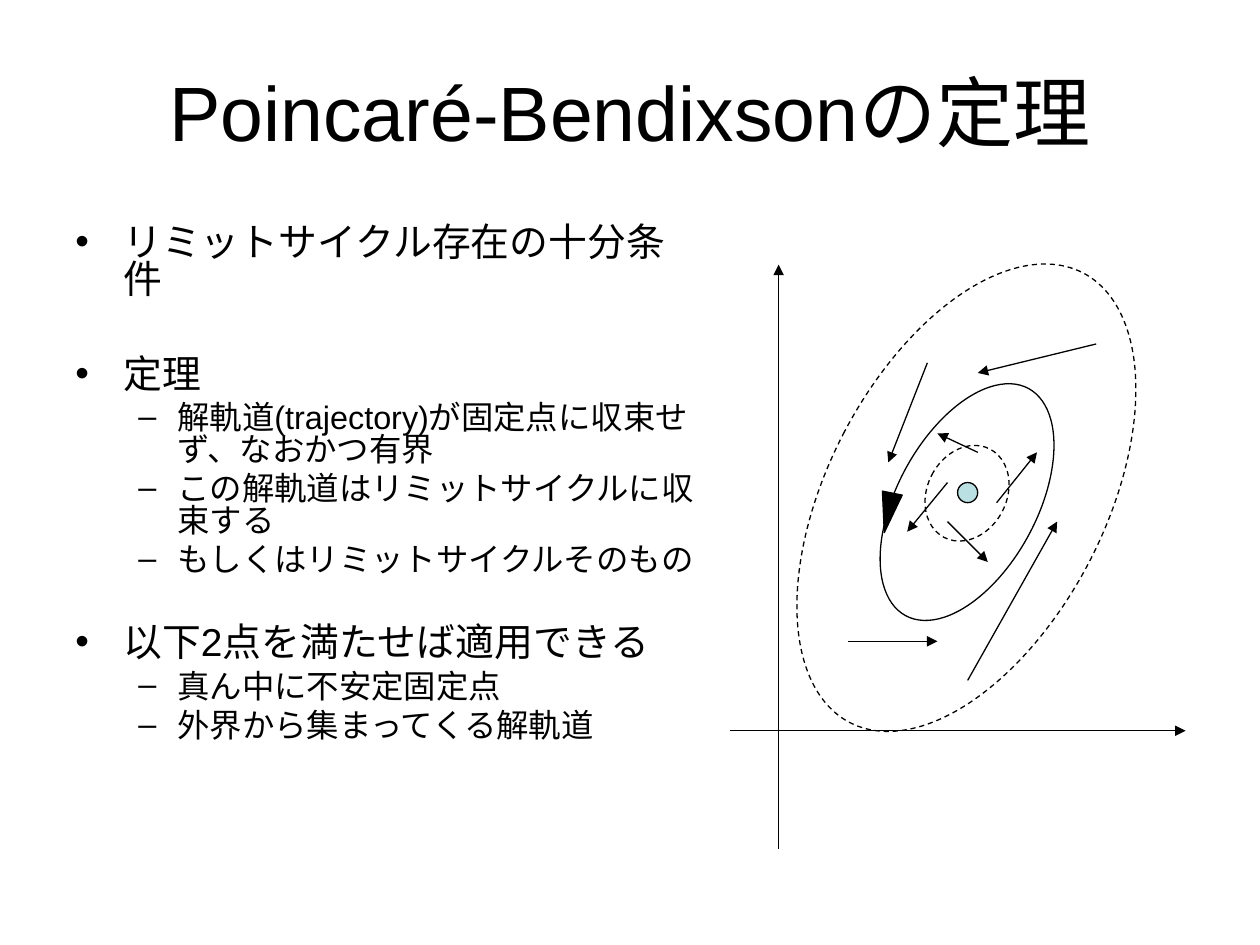
"""Build a slide on the Poincaré-Bendixson theorem with a phase portrait."""
from lxml.etree import SubElement
from pptx import Presentation
from pptx.dml.color import RGBColor
from pptx.enum.dml import MSO_LINE
from pptx.enum.shapes import MSO_CONNECTOR, MSO_SHAPE
from pptx.enum.text import MSO_ANCHOR, PP_ALIGN
from pptx.oxml.ns import qn
from pptx.util import Inches, Pt

BLACK = RGBColor(0x00, 0x00, 0x00)
PALE_BLUE = RGBColor(0xBB, 0xE0, 0xE3)

TITLE = "Poincaré-Bendixsonの定理"
SECTIONS = [
    ("リミットサイクル存在の十分条件", 0, []),
    ("定理", 33, [
        "解軌道(trajectory)が固定点に収束せず、なおかつ有界",
        "この解軌道はリミットサイクルに収束する",
        "もしくはリミットサイクルそのもの",
    ]),
    ("以下2点を満たせば適用できる", 28, [
        "真ん中に不安定固定点",
        "外界から集まってくる解軌道",
    ]),
]
LEVELS = [
    {"size": 22.2, "bullet": "•", "margin": 0.38, "indent": -0.38},
    {"size": 18.5, "bullet": "–", "margin": 0.81, "indent": -0.31},
]
SUB_SPACE = 5

AXES = [((6.18, 6.74), (6.18, 2.1)), ((5.79, 5.8), (9.41, 5.8))]
FLOWS = [
    ((7.36, 2.88), (7.05, 3.67)),
    ((7.68, 5.4), (8.39, 4.14)),
    ((8.7, 2.73), (7.76, 2.96)),
    ((6.73, 5.09), (7.44, 5.09)),
    ((7.52, 3.83), (7.2, 4.22)),
    ((7.76, 3.59), (7.44, 3.44)),
    ((7.52, 4.14), (7.84, 4.46)),
    ((7.91, 3.99), (8.23, 3.59)),
]
OVAL, TRIANGLE = MSO_SHAPE.OVAL, MSO_SHAPE.ISOSCELES_TRIANGLE
ORBITS = [
    (OVAL, (7.36, 3.52, 0.63, 0.79), 27.4, None, MSO_LINE.DASH),
    (OVAL, (6.57, 1.94, 2.2, 4.02), 27.4, None, MSO_LINE.DASH),
    (OVAL, (7.6, 3.83, 0.16, 0.16), 0, PALE_BLUE, None),
    (OVAL, (7.12, 2.96, 1.11, 2.05), 28.4, None, None),
    (TRIANGLE, (6.97, 3.91, 0.16, 0.32), 191.5, BLACK, None),
]


def set_all(obj, values):
    for name, value in values.items():
        setattr(obj, name, value)


def add_box(s, box, anchor):
    tf = s.shapes.add_textbox(*map(Inches, box)).text_frame
    set_all(tf, {"word_wrap": True, "vertical_anchor": anchor})
    return tf


def write(p, text, size, **layout):
    set_all(p, layout)
    r = p.add_run()
    r.text = text
    set_all(r.font, {"name": "Arial", "size": Pt(size)})
    r.font.color.rgb = BLACK


def add_item(p, text, level, space):
    fmt = LEVELS[level]
    pPr = p._p.get_or_add_pPr()
    pPr.set("marL", str(Inches(fmt["margin"])))
    pPr.set("indent", str(Inches(fmt["indent"])))
    SubElement(pPr, qn("a:buFont")).set("typeface", "Arial")
    SubElement(pPr, qn("a:buChar")).set("char", fmt["bullet"])
    write(p, text, fmt["size"], level=level, line_spacing=0.8, space_before=Pt(space))


def style_line(line, dash=None):
    set_all(line, {"width": Pt(0.75), "dash_style": dash})
    line.color.rgb = BLACK


def add_arrow(s, start, end):
    sp = s.shapes.add_connector(MSO_CONNECTOR.STRAIGHT, *map(Inches, start + end))
    style_line(sp.line)
    SubElement(sp.line._get_or_add_ln(), qn("a:tailEnd")).set("type", "triangle")
    SubElement(sp._element.spPr, qn("a:effectLst"))


def add_orbit(s, kind, box, rotation, fill, dash):
    sp = s.shapes.add_shape(kind, *map(Inches, box))
    sp.rotation = rotation
    sp.shadow.inherit = False
    if fill is None:
        sp.fill.background()
    else:
        sp.fill.solid()
        sp.fill.fore_color.rgb = fill
    style_line(sp.line, dash)


def main():
    prs = Presentation()
    set_all(prs, {"slide_width": Inches(10), "slide_height": Inches(7.5)})
    s = prs.slides.add_slide(prs.slide_layouts[6])

    tf = add_box(s, (0.5, 0.3, 9, 1.25), MSO_ANCHOR.MIDDLE)
    write(tf.paragraphs[0], TITLE, 44, alignment=PP_ALIGN.CENTER, line_spacing=0.9)

    tf = add_box(s, (0.5, 1.75, 5.13, 4.95), MSO_ANCHOR.TOP)
    items = []
    for heading, space, points in SECTIONS:
        items.append((heading, 0, space))
        items += [(point, 1, SUB_SPACE) for point in points]
    for i, item in enumerate(items):
        add_item(tf.add_paragraph() if i else tf.paragraphs[0], *item)

    for axis in AXES:
        add_arrow(s, *axis)
    for orbit in ORBITS:
        add_orbit(s, *orbit)
    for flow in FLOWS:
        add_arrow(s, *flow)
    prs.save("out.pptx")


if __name__ == "__main__":
    main()
